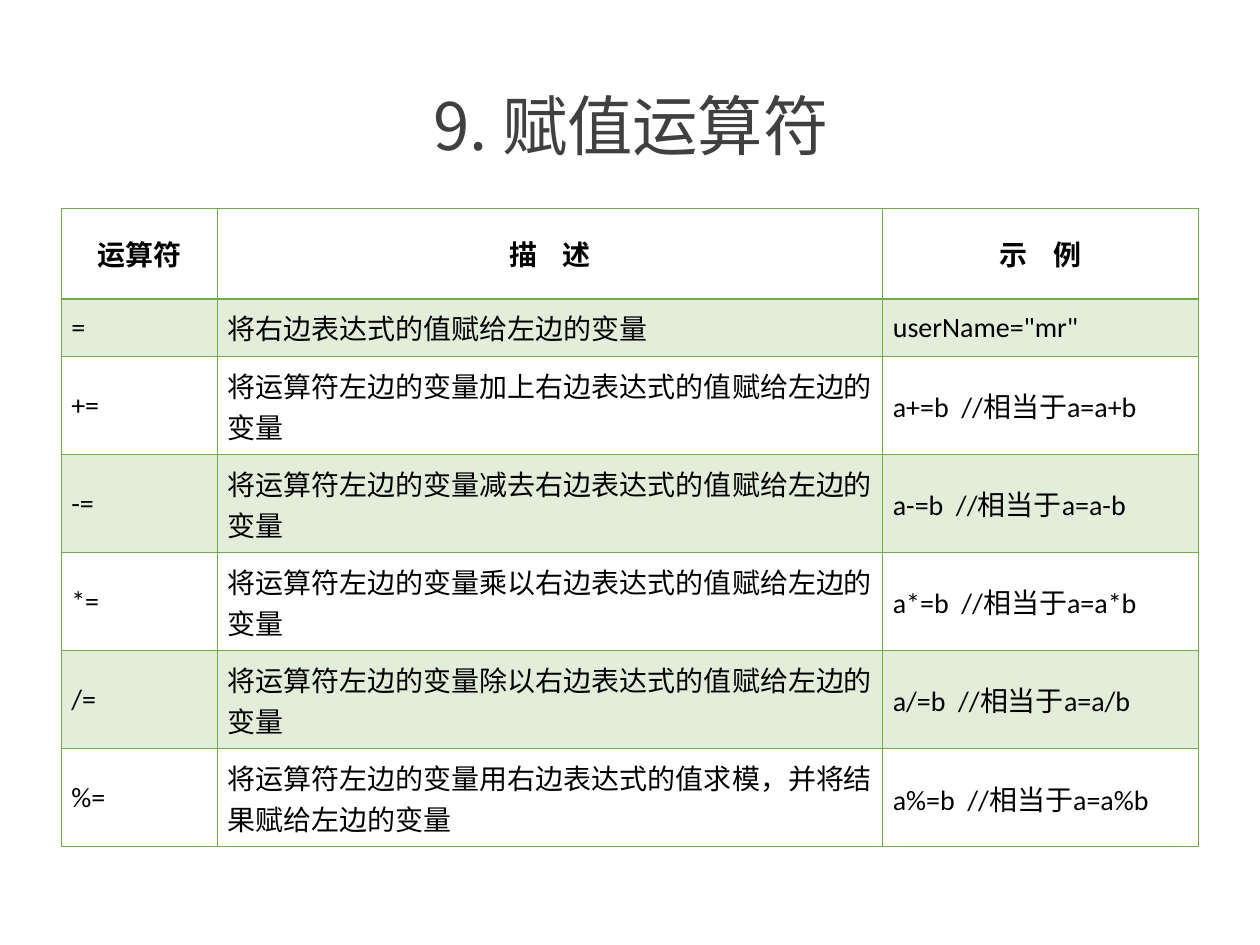
from lxml import etree
from pptx import Presentation
from pptx import util as u
from pptx.dml import color
from pptx.enum import text
from pptx.oxml import ns

HUES = {"title": "404040", "body": "000000", "green": "70AD47"}
LATIN = "Calibri"
HAN = "Noto Sans CJK SC"
WIDE = 7.5
HIGH = WIDE * 3 / 4
WIDTHS = [0.93, 3.96, 1.88]
HEIGHTS = [0.54, 0.27, 0.54, 0.54, 0.54, 0.55, 0.54]
THIN, THICK = 0.45, 0.96
HEAD = ["运算符", "描    述", "示    例"]
VERBS = [("+", "加上"), ("-", "减去"), ("*", "乘以"), ("/", "除以")]


def make_rows():
    rows = [HEAD, ["=", "将右边表达式的值赋给左边的变量", 'userName="mr"']]
    notes = [(op, f"将运算符左边的变量{verb}右边表达式的值赋给左边的变量")
             for op, verb in VERBS]
    notes.append(("%", "将运算符左边的变量用右边表达式的值求模，并将结果赋给左边的变量"))
    for op, note in notes:
        rows.append([f"{op}=", note, f"a{op}=b  //相当于a=a{op}b"])
    return rows


def add_node(base, tag, **attrs):
    return etree.SubElement(base, ns.qn(tag), attrs)


def add_run(para, words, size, face, hue, bold=False):
    run = para.add_run()
    run.text = words
    font = run.font
    font.size = u.Pt(size)
    font.bold = bold
    font.name = face
    font.color.rgb = color.RGBColor.from_string(HUES[hue])
    add_node(font._element, "a:ea", typeface=HAN)


def add_edge(cell, side, width):
    props = cell._tc.get_or_add_tcPr()
    line = add_node(props, f"a:ln{side}", w=str(u.Pt(width)))
    fill = add_node(line, "a:solidFill")
    add_node(fill, "a:srgbClr", val=HUES["green"])


def fill_cell(cell, band):
    if not band:
        cell.fill.background()
        return
    cell.fill.solid()
    cell.fill.fore_color.rgb = color.RGBColor.from_string(HUES["green"])
    tint = cell._tc.tcPr.find(ns.qn("a:solidFill"))
    add_node(tint[0], "a:alpha", val="20000")


def set_cell(cell, words, row):
    head = row == 0
    cell.vertical_anchor = text.MSO_ANCHOR.MIDDLE
    cell.margin_left = cell.margin_right = u.Inches(0.06)
    cell.margin_top = cell.margin_bottom = u.Inches(0.05)
    para = cell.text_frame.paragraphs[0]
    para.alignment = text.PP_ALIGN.CENTER if head else text.PP_ALIGN.JUSTIFY
    para.space_before = para.space_after = u.Pt(1.2)
    add_run(para, words, 12, LATIN, "body", head)
    add_edge(cell, "L", THIN)
    add_edge(cell, "R", THIN)
    add_edge(cell, "T", THICK if row == 1 else THIN)
    add_edge(cell, "B", THICK if head else THIN)
    fill_cell(cell, row % 2 == 1)


def set_title(slide, words):
    title = slide.shapes.title
    title.left, title.top = u.Inches(0.52), u.Inches(0.3)
    title.width, title.height = u.Inches(6.47), u.Inches(0.94)
    frame = title.text_frame
    frame.auto_size = text.MSO_AUTO_SIZE.NONE
    frame.vertical_anchor = text.MSO_ANCHOR.MIDDLE
    para = frame.paragraphs[0]
    para.alignment = text.PP_ALIGN.CENTER
    para.line_spacing = 0.9
    add_run(para, words, 28, HAN, "title")


def add_grid(slide, rows):
    width = sum(WIDTHS)
    frame = slide.shapes.add_table(
        len(rows), len(WIDTHS), u.Inches((WIDE - width) / 2), u.Inches(1.24),
        u.Inches(width), u.Inches(sum(HEIGHTS)))
    grid = frame.table
    grid.first_row = grid.horz_banding = False
    for col, size in zip(grid.columns, WIDTHS):
        col.width = u.Inches(size)
    for line, size in zip(grid.rows, HEIGHTS):
        line.height = u.Inches(size)
    for row, cells in enumerate(rows):
        for col, words in enumerate(cells):
            set_cell(grid.cell(row, col), words, row)


def main():
    deck = Presentation()
    deck.slide_width, deck.slide_height = u.Inches(WIDE), u.Inches(HIGH)
    slide = deck.slides.add_slide(deck.slide_layouts[5])
    set_title(slide, "9. 赋值运算符")
    add_grid(slide, make_rows())
    deck.save("out.pptx")


if __name__ == "__main__":
    main()
